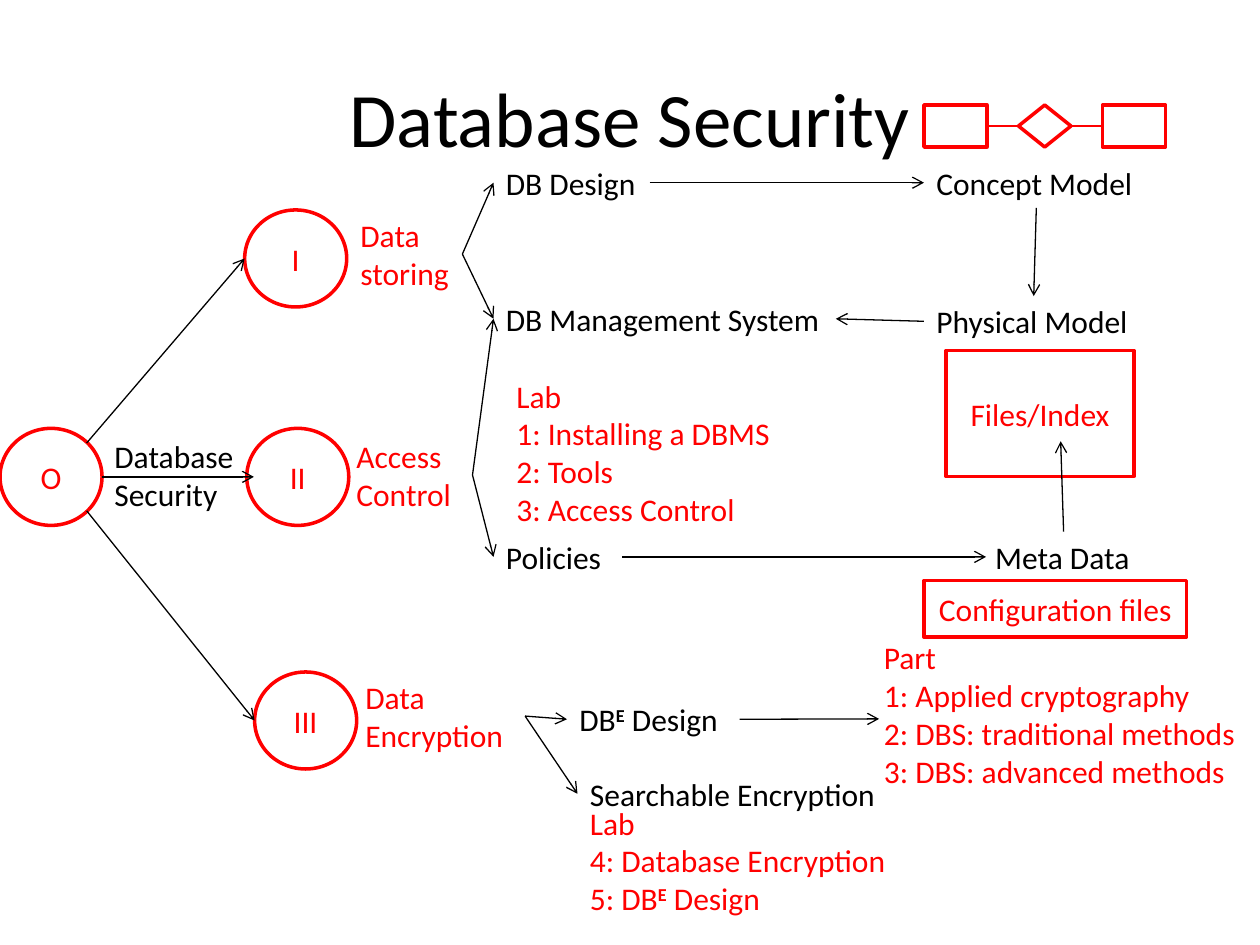
from pptx import Presentation
from pptx.dml.color import RGBColor
from pptx.enum.shapes import MSO_CONNECTOR as Connector, MSO_SHAPE as Shape
from pptx.enum.text import MSO_ANCHOR as Anchor, MSO_AUTO_SIZE as AutoSize, PP_ALIGN as Align
from pptx.oxml.ns import qn
from pptx.util import Inches, Pt
from lxml.etree import SubElement

COLORS = {"ink": "000000", "accent": "FF0000", "paper": "FFFFFF"}
FONT = "Calibri"
COLUMNS, ROWS = 120, 90
SLIDE_WIDTH, SLIDE_HEIGHT = Inches(10), Inches(7.5)
LEFT, RIGHT, TOP, BOTTOM = (0, 0.5), (1, 0.5), (0.5, 0), (0.5, 1)
UPPER_RIGHT, LOWER_RIGHT = (0.85, 0.15), (0.85, 0.85)


def color(name):
    return RGBColor.from_string(COLORS[name])


def grid(box, column, row, columns, rows):
    return (round((box[0] + column) * SLIDE_WIDTH / COLUMNS),
            round((box[1] + row) * SLIDE_HEIGHT / ROWS),
            round(columns * SLIDE_WIDTH / COLUMNS),
            round(rows * SLIDE_HEIGHT / ROWS))


def style(run, tint, size=18):
    run.font.name = FONT
    run.font.size = Pt(size)
    run.font.color.rgb = color(tint)


def label(slide, place, width, lines, tint="ink"):
    text_box = slide.shapes.add_textbox(*grid(place, 0, 0, width, 1.2 + 3.6 * len(lines)))
    frame = text_box.text_frame
    frame.word_wrap = False
    frame.auto_size = AutoSize.SHAPE_TO_FIT_TEXT
    for index, line in enumerate(lines):
        paragraph = frame.paragraphs[0] if index == 0 else frame.add_paragraph()
        for part, words in enumerate(line.split("^")):
            run = paragraph.add_run()
            run.text = words
            style(run, tint)
            if part % 2:
                run.font.bold = True
                run.font._element.set("baseline", "30000")
    return text_box


def outlined(slide, kind, place, columns, rows, words=""):
    figure = slide.shapes.add_shape(kind, *grid(place, 0, 0, columns, rows))
    figure.shadow.inherit = False
    figure.fill.solid()
    figure.fill.fore_color.rgb = color("paper")
    figure.line.color.rgb = color("accent")
    figure.line.width = Pt(2)
    if words:
        frame = figure.text_frame
        frame.text = words
        frame.word_wrap = False
        frame.vertical_anchor = Anchor.MIDDLE
        frame.paragraphs[0].alignment = Align.CENTER
        style(frame.paragraphs[0].runs[0], "accent")
    return figure


def point(part, share):
    return (round(part.left + share[0] * part.width),
            round(part.top + share[1] * part.height))


def link(slide, start, end, leave=RIGHT, enter=LEFT, tint="ink", arrow=True):
    line = slide.shapes.add_connector(
        Connector.STRAIGHT, *point(start, leave), *point(end, enter))
    line.line.color.rgb = color(tint)
    line.line.width = Pt(0.75)
    if arrow:
        SubElement(line.line._get_or_add_ln(), qn("a:tailEnd"), type="arrow")
    SubElement(line._element.spPr, qn("a:effectLst"))


def place_title(slide, box):
    title = slide.shapes.title
    title.left, title.top, title.width, title.height = grid(box, 0, 0, 108, 15)
    title.text_frame.text = "Database Security"
    title.text_frame.vertical_anchor = Anchor.MIDDLE
    title.text_frame.paragraphs[0].alignment = Align.CENTER
    style(title.text_frame.paragraphs[0].runs[0], "ink", 44)


def stage(slide, box, numeral, lines, offset, width, tint="accent"):
    circle = outlined(slide, Shape.OVAL, box, 9.72, 9.24, numeral)
    topic = label(slide, (box[0] + offset[0], box[1] + offset[1]), width, lines, tint)
    return circle, topic


def concept_symbol(slide, box):
    column, row = box
    entity = outlined(slide, Shape.RECTANGLE, box, 6, 4)
    related = outlined(slide, Shape.RECTANGLE, (column + 17, row), 6, 4)
    relation = outlined(slide, Shape.FLOWCHART_DECISION, (column + 9, row), 5, 4)
    for start, end in ((entity, relation), (relation, related)):
        link(slide, start, end, tint="accent", arrow=False)


def storing_branch(slide, box, topic):
    column, row = box
    design = label(slide, box, 14.88, ["DB Design"])
    system = label(slide, (column, row + 12.96), 32.6, ["DB Management System"])
    concept = label(slide, (column + 41, row), 21.4, ["Concept Model"])
    physical = label(slide, (column + 41, row + 13.2), 20.9, ["Physical Model"])
    concept_symbol(slide, (column + 41, row - 5))
    link(slide, topic, design)
    link(slide, topic, system)
    link(slide, design, concept)
    link(slide, concept, physical, BOTTOM, TOP)
    link(slide, physical, system, LEFT, RIGHT)
    return system


def access_branch(slide, box, topic, system):
    column, row = box
    label(slide, (column + 1, row), 26.9,
          ["Lab", "1: Installing a DBMS", "2: Tools", "3: Access Control"], "accent")
    policies = label(slide, (column, row + 15.36), 12.24, ["Policies"])
    metadata = label(slide, (column + 46.6, row + 15.36), 15.4, ["Meta Data"])
    files = outlined(slide, Shape.RECTANGLE, (column + 43.1, row - 1.9), 17.9, 12, "Files/Index")
    outlined(slide, Shape.RECTANGLE, (column + 41, row + 20), 25, 5.4, "Configuration files")
    link(slide, topic, system)
    link(slide, topic, policies)
    link(slide, policies, metadata, enter=(0.02, 0.5))
    link(slide, metadata, files, TOP, (0.61, 0.72))


def encryption_branch(slide, box, topic):
    column, row = box
    design = label(slide, box, 16.44, ["DB^E^ Design"])
    search = label(slide, (column + 1, row + 7.1), 29.9, ["Searchable Encryption"])
    label(slide, (column + 1, row + 9.84), 31,
          ["Lab", "4: Database Encryption", "5: DB^E^ Design"], "accent")
    parts = label(slide, (column + 29, row - 5.9), 36.2,
                  ["Part", "1: Applied cryptography", "2: DBS: traditional methods",
                   "3: DBS: advanced methods"], "accent")
    link(slide, topic, design)
    link(slide, topic, search)
    link(slide, design, parts, enter=(0.02, 0.53))


def main():
    deck = Presentation()
    deck.slide_width, deck.slide_height = SLIDE_WIDTH, SLIDE_HEIGHT
    slide = deck.slides.add_slide(deck.slide_layouts[5])
    place_title(slide, (6, 3.6))
    hub, _ = stage(slide, (0, 40.8), "O", ["Database", "Security"], (9.72, 0.24), 14.6, "ink")
    storing, storing_topic = stage(
        slide, (23.3, 20), "I", ["Data", "storing"], (9.84, 0), 10.9)
    access, access_topic = stage(
        slide, (23.5, 40.8), "II", ["Access", "Control"], (9.26, 0.24), 12.24)
    encryption, encryption_topic = stage(
        slide, (24.25, 64), "III", ["Data", "Encryption"], (9.36, 0), 16.4)
    link(slide, hub, storing, UPPER_RIGHT)
    link(slide, hub, access, enter=(0.07, 0.5))
    link(slide, hub, encryption, LOWER_RIGHT)
    system = storing_branch(slide, (47, 15), storing_topic)
    access_branch(slide, (47, 35.28), access_topic, system)
    encryption_branch(slide, (54, 66.1), encryption_topic)
    deck.save("out.pptx")


if __name__ == "__main__":
    main()
